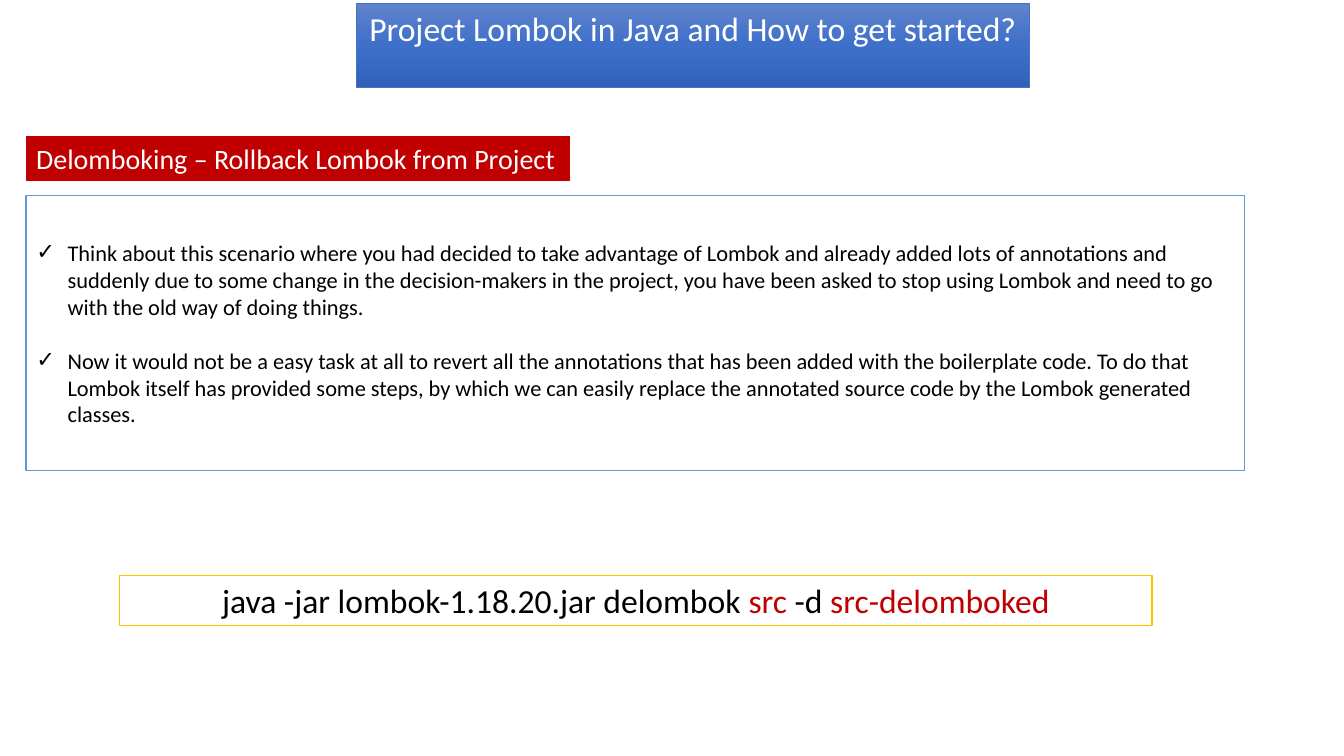
from copy import deepcopy

from lxml import etree
from pptx import Presentation
from pptx.dml.color import RGBColor
from pptx.enum.shapes import MSO_SHAPE
from pptx.enum.text import MSO_ANCHOR, MSO_AUTO_SIZE, PP_ALIGN
from pptx.oxml.ns import qn
from pptx.util import Cm, Pt

RECTANGLE = MSO_SHAPE.RECTANGLE
TOP, MIDDLE = MSO_ANCHOR.TOP, MSO_ANCHOR.MIDDLE
FIXED, GROW = MSO_AUTO_SIZE.NONE, MSO_AUTO_SIZE.SHAPE_TO_FIT_TEXT
LEFT, CENTER = PP_ALIGN.LEFT, PP_ALIGN.CENTER

THEME = {
    "font": "Calibri",
    "white": "FFFFFF", "black": "000000", "red": "C00000",
    "gold": "FFC000", "light blue": "5B9BD5", "blue": "4472C4",
    "banner": [(0, "6183CB"), (0.5, "3E70CA"), (1, "3062BB")],
    "title": Pt(24), "heading": Pt(20), "body": Pt(16), "command": Pt(24),
}


def style_box(box, place, fill, line, width, frame):
    for name, value in zip(("left", "top", "width", "height"), place):
        setattr(box, name, Cm(value))
    if fill:
        box.fill.solid()
        box.fill.fore_color.rgb = RGBColor.from_string(THEME[fill])
    box.line.color.rgb = RGBColor.from_string(THEME[line])
    box.line.width = Pt(width)
    for name, value in frame.items():
        setattr(box.text_frame, name, value)


def write(para, spans, size, align):
    para.alignment = align
    for text, color in spans:
        span = para.add_run()
        span.text = text
        for name, value in {"name": THEME["font"], "size": THEME[size]}.items():
            setattr(span.font, name, value)
        span.font.color.rgb = RGBColor.from_string(THEME[color])


deck = Presentation()
deck.slide_width, deck.slide_height = Cm(33.87), Cm(19.05)
page = deck.slides.add_slide(deck.slide_layouts[1])
title, body = page.placeholders

# Scenario list
style_box(body, (0.66, 4.93, 30.71, 6.93), "white", "light blue", 1,
          {"word_wrap": True, "auto_size": FIXED, "vertical_anchor": MIDDLE})
points = [
    "Think about this scenario where you had decided to take advantage of Lombok "
    "and already added lots of annotations and suddenly due to some change in the "
    "decision-makers in the project, you have been asked to stop using Lombok and "
    "need to go with the old way of doing things.",
    "Now it would not be a easy task at all to revert all the annotations that has "
    "been added with the boilerplate code. To do that Lombok itself has provided "
    "some steps, by which we can easily replace the annotated source code by the "
    "Lombok generated classes.",
]
for index, point in enumerate(points):
    para = body.text_frame.paragraphs[0] if index == 0 else body.text_frame.add_paragraph()
    para.space_before = Pt(19.5 if index else 0)
    layout = para._p.get_or_add_pPr()
    layout.set("marL", str(Cm(0.79)))
    layout.set("indent", str(-Cm(0.79)))
    etree.SubElement(layout, qn("a:buFont"), typeface="Arial")
    etree.SubElement(layout, qn("a:buChar"), char="✓")
    write(para, [(point, "black")], "body", LEFT)

# Section heading and command line
labels = [
    ((0.66, 3.43, 13.69, 1.12), "red", "red", 0.5, "heading", LEFT,
     [("Delomboking – Rollback Lombok from Project", "white")]),
    ((3.02, 14.5, 26.01, 1.27), "white", "gold", 1, "command", CENTER,
     [("java -jar lombok-1.18.20.jar delombok ", "black"), ("src", "red"),
      (" -d ", "black"), ("src-delomboked", "red")]),
]
for place, fill, line, width, size, align, spans in labels:
    label = page.shapes.add_shape(RECTANGLE, 0, 0, 0, 0)
    label.shadow.inherit = False
    style_box(label, place, fill, line, width,
              {"word_wrap": True, "auto_size": GROW, "vertical_anchor": TOP})
    write(label.text_frame.paragraphs[0], spans, size, align)

# Title banner with a three-stop gradient
style_box(title, (8.99, 0.08, 16.94, 1.27), None, "blue", 0.5,
          {"word_wrap": False, "auto_size": GROW, "vertical_anchor": TOP})
title.fill.gradient()
title.fill.gradient_angle = 270
stop_list = title._element.spPr.find(qn("a:gradFill")).find(qn("a:gsLst"))
stop_list.insert(1, deepcopy(stop_list[0]))
for stop, (position, color) in zip(title.fill.gradient_stops, THEME["banner"]):
    stop.position = position
    stop.color.rgb = RGBColor.from_string(color)
write(title.text_frame.paragraphs[0],
      [("Project Lombok in Java and How to get started?", "white")], "title", CENTER)

deck.save("out.pptx")
